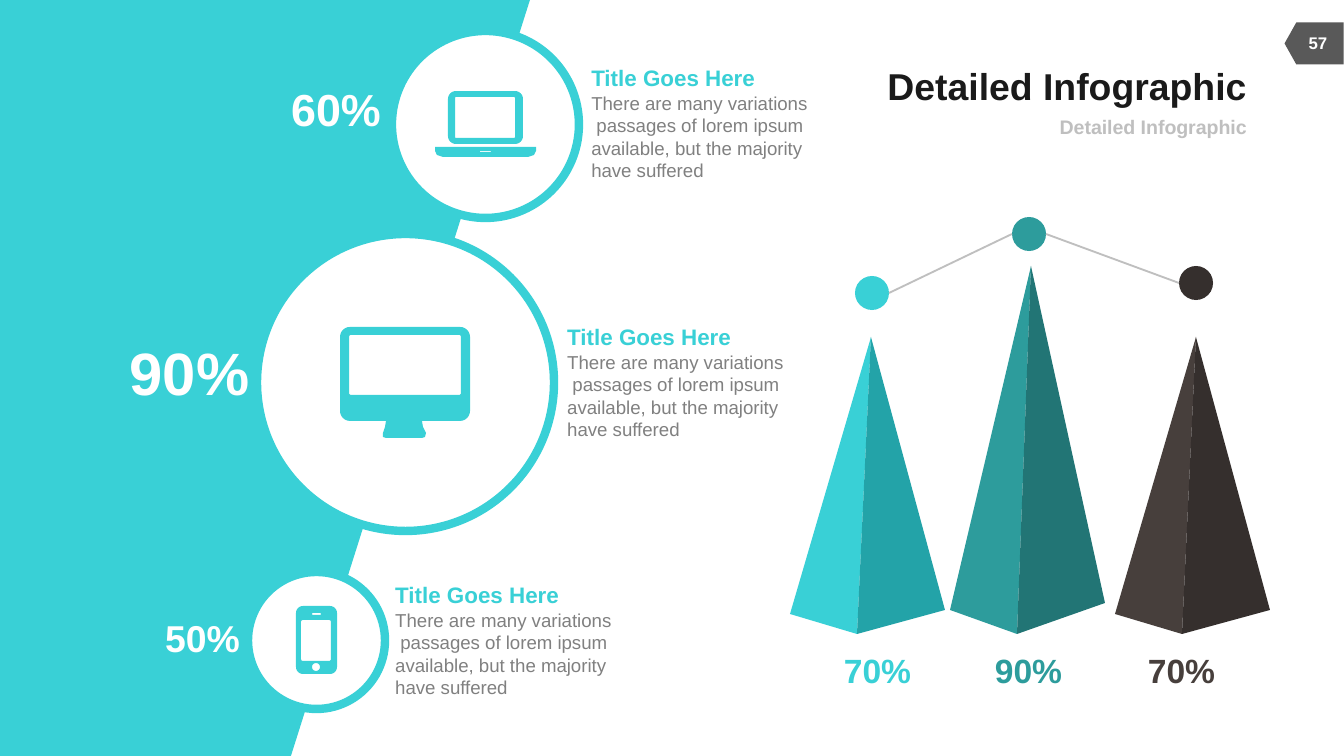
import math
from dataclasses import dataclass

import pptx
import pptx.dml.color
import pptx.enum.shapes
import pptx.enum.text
import pptx.oxml
import pptx.oxml.ns
import pptx.util

EMU_PER_PX = 914400 / 134.4
SUBPIXELS = 100
SHAPE = pptx.enum.shapes.MSO_SHAPE
ALIGN = pptx.enum.text.PP_ALIGN
ANCHOR = pptx.enum.text.MSO_ANCHOR


@dataclass(frozen=True)
class Theme:
    font: str = "Arial"
    white: str = "FFFFFF"
    ink: str = "1A1A1A"
    body: str = "808080"
    pale: str = "BFBFBF"
    badge: str = "595959"
    cyan: str = "39D0D6"
    cyan_dark: str = "23A3A8"
    teal: str = "2D9C9C"
    teal_dark: str = "227575"
    brown: str = "473F3C"
    brown_dark: str = "352F2D"
    title_size: float = 20
    subtitle_size: float = 10.5
    number_size: float = 9
    heading_size: float = 12
    body_size: float = 10
    value_size: float = 18
    ring_width: float = 4.5
    line_width: float = 1


def px(*values):
    return [round(v * EMU_PER_PX) for v in values]


def rgb(color):
    return pptx.dml.color.RGBColor.from_string(color)


def rounded(left, top, right, bottom, radius):
    points = []
    corners = [(right - radius, bottom - radius), (left + radius, bottom - radius),
               (left + radius, top + radius), (right - radius, top + radius)]
    for i, (x, y) in enumerate(corners):
        for step in range(7):
            angle = math.radians(90 * i + 15 * step)
            points.append((x + radius * math.cos(angle), y + radius * math.sin(angle)))
    return points


class Deck:
    def __init__(self, theme):
        self.theme = theme
        self.prs = pptx.Presentation()
        self.prs.slide_width, self.prs.slide_height = px(1344, 756)
        self.s = self.prs.slides.add_slide(self.prs.slide_layouts[6])

    def paint(self, sp, fill, line=None):
        sp.shadow.inherit = False
        sp.fill.solid()
        sp.fill.fore_color.rgb = rgb(fill)
        if line:
            sp.line.color.rgb = rgb(line)
            sp.line.width = pptx.util.Pt(self.theme.ring_width)
        else:
            sp.line.fill.background()
        return sp

    def shape(self, kind, x, y, w, h, fill, line=None):
        return self.paint(self.s.shapes.add_shape(kind, *px(x, y, w, h)), fill, line)

    def outline(self, contours, fill, shapes=None):
        first, *others = [[(x * SUBPIXELS, y * SUBPIXELS) for x, y in contour]
                          for contour in contours]
        builder = (shapes or self.s.shapes).build_freeform(
            *first[0], scale=EMU_PER_PX / SUBPIXELS)
        builder.add_line_segments(first[1:], close=True)
        for contour in others:
            builder.move_to(*contour[0])
            builder.add_line_segments(contour[1:], close=True)
        return self.paint(builder.convert_to_shape(), fill)

    def text(self, x, y, w, h, lines, align=ALIGN.CENTER, anchor=ANCHOR.MIDDLE,
             wrap=False, inset=(0, 0)):
        tf = self.s.shapes.add_textbox(*px(x, y, w, h)).text_frame
        tf.word_wrap = wrap
        tf.vertical_anchor = anchor
        tf.margin_left = tf.margin_right = pptx.util.Inches(inset[0])
        tf.margin_top = tf.margin_bottom = pptx.util.Inches(inset[1])
        tf.text = "\n".join(line[0] for line in lines)
        for p, (_, size, color, bold) in zip(tf.paragraphs, lines):
            p.alignment = align
            for r in p.runs:
                r.font.name = self.theme.font
                r.font.size = pptx.util.Pt(size)
                r.font.bold = bold
                r.font.color.rgb = rgb(color)

    def line(self, x1, y1, x2, y2):
        c = self.s.shapes.add_connector(
            pptx.enum.shapes.MSO_CONNECTOR.STRAIGHT, *px(x1, y1, x2, y2))
        c.line.color.rgb = rgb(self.theme.pale)
        c.line.width = pptx.util.Pt(self.theme.line_width)
        c._element.spPr.append(pptx.oxml.parse_xml(
            "<a:effectLst %s/>" % pptx.oxml.ns.nsdecls("a")))

    def pyramid(self, x, apex_y, left_y, right_y, light, dark):
        shapes = self.s.shapes.add_group_shape().shapes
        apex, foot = (x + 81, apex_y), (x + 67, 634)
        self.outline([[apex, foot, (x, left_y)]], light, shapes)
        self.outline([[foot, apex, (x + 155, right_y)]], dark, shapes)


def main():
    t = Theme()
    d = Deck(t)

    d.shape(SHAPE.FLOWCHART_OFFPAGE_CONNECTOR, 1293, 14, 42, 59, t.badge).rotation = 90
    d.outline([[(0, 0), (530, 0), (291, 756), (0, 756)]], t.cyan)
    d.text(418, 60, 829, 52, [("Detailed Infographic", t.title_size, t.ink, True)],
           align=ALIGN.RIGHT, wrap=True)
    d.text(642, 112, 605, 30, [("Detailed Infographic", t.subtitle_size, t.pale, True)],
           align=ALIGN.RIGHT, wrap=True)
    d.text(1290, 23, 56, 40, [("57", t.number_size, t.white, True)])

    laptop = [
        [(435, 147), (536, 147), (536, 151), (534, 155), (528, 157),
         (443, 157), (437, 155), (435, 151)],
        rounded(448, 91, 523, 144, 8),
        rounded(455, 97, 515, 138, 1),
        rounded(480, 151, 491, 152, 0),
    ]
    monitor = [
        rounded(340, 327, 470, 421, 10),
        rounded(349, 335, 461, 395, 2),
        [(386, 421), (422, 421), (423, 427), (426, 433), (425, 437), (422, 438),
         (386, 438), (383, 437), (383, 433), (385, 427)],
    ]
    phone = [
        rounded(296, 606, 337, 674, 7),
        rounded(301, 620, 331, 661, 2),
        rounded(312, 613, 321, 615, 1),
        rounded(312, 663, 320, 671, 4),
    ]
    passage = ("There are many variations  passages of lorem ipsum available, "
               "but the majority have suffered")
    devices = [
        (laptop, (392, 31, 187), "60%", 24, (291, 82, 90, 54), (578, 58)),
        (monitor, (257, 234, 297), "90%", 32, (129, 335, 121, 73), (554, 317)),
        (phone, (248, 572, 137), "50%", 20, (165, 615, 75, 46), (382, 575)),
    ]
    for icon, (x, y, size), share, share_size, share_box, note_at in devices:
        d.shape(SHAPE.OVAL, x, y, size, size, t.white, t.cyan)
        d.outline(icon, t.cyan)
        d.text(*share_box, [(share, share_size, t.white, True)])
        d.text(*note_at, 246, 132,
               [("Title Goes Here", t.heading_size, t.cyan, True),
                (passage, t.body_size, t.body, False)],
               align=ALIGN.LEFT, anchor=ANCHOR.TOP, wrap=True, inset=(0.1, 0.05))

    dot = 34
    pyramids = [
        ((790, 337, 614, 610), t.cyan, t.cyan_dark, t.cyan, (855, 276), "70%", 840),
        ((950, 266, 610, 603), t.teal, t.teal_dark, t.teal, (1012, 217), "90%", 991),
        ((1115, 337, 614, 610), t.brown, t.brown_dark, t.brown_dark, (1179, 266), "70%", 1144),
    ]
    for body, light, dark, dot_color, dot_at, value, value_x in pyramids:
        d.pyramid(*body, light, dark)
        d.shape(SHAPE.OVAL, *dot_at, dot, dot, dot_color)
        d.text(value_x, 650, 75, 40, [(value, t.value_size, light, True)],
               anchor=ANCHOR.BOTTOM)
    dots = [pyramid[4] for pyramid in pyramids]
    for (x1, y1), (x2, y2) in zip(dots, dots[1:]):
        d.line(x1 + dot, y1 + dot // 2, x2, y2 + dot // 2)

    d.prs.save("out.pptx")


if __name__ == "__main__":
    main()
